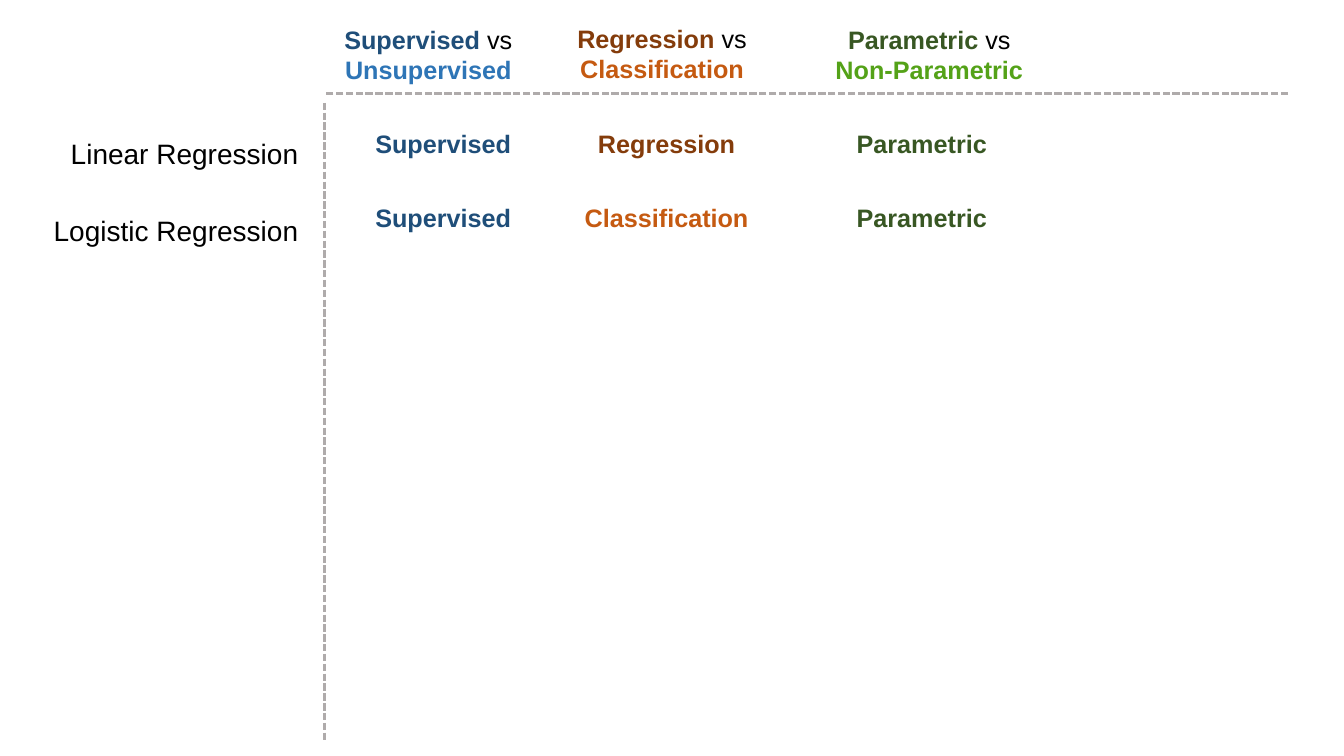
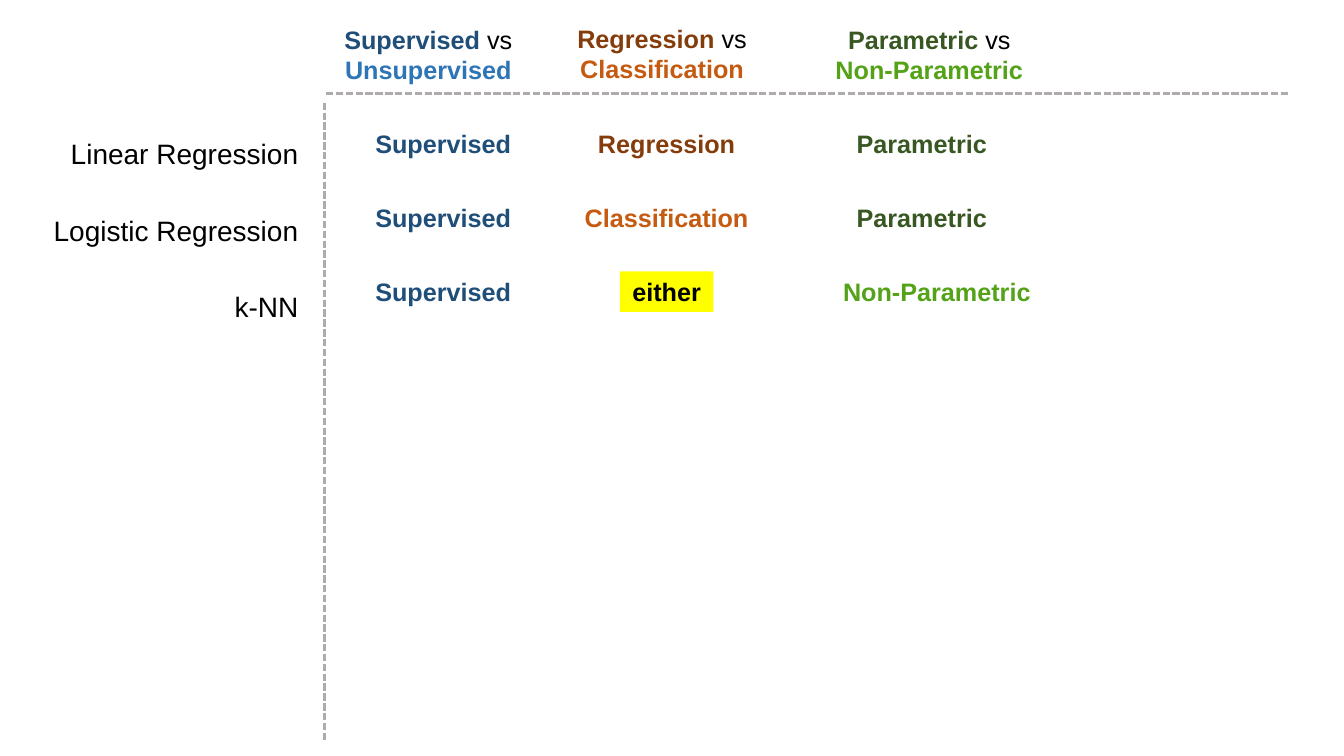
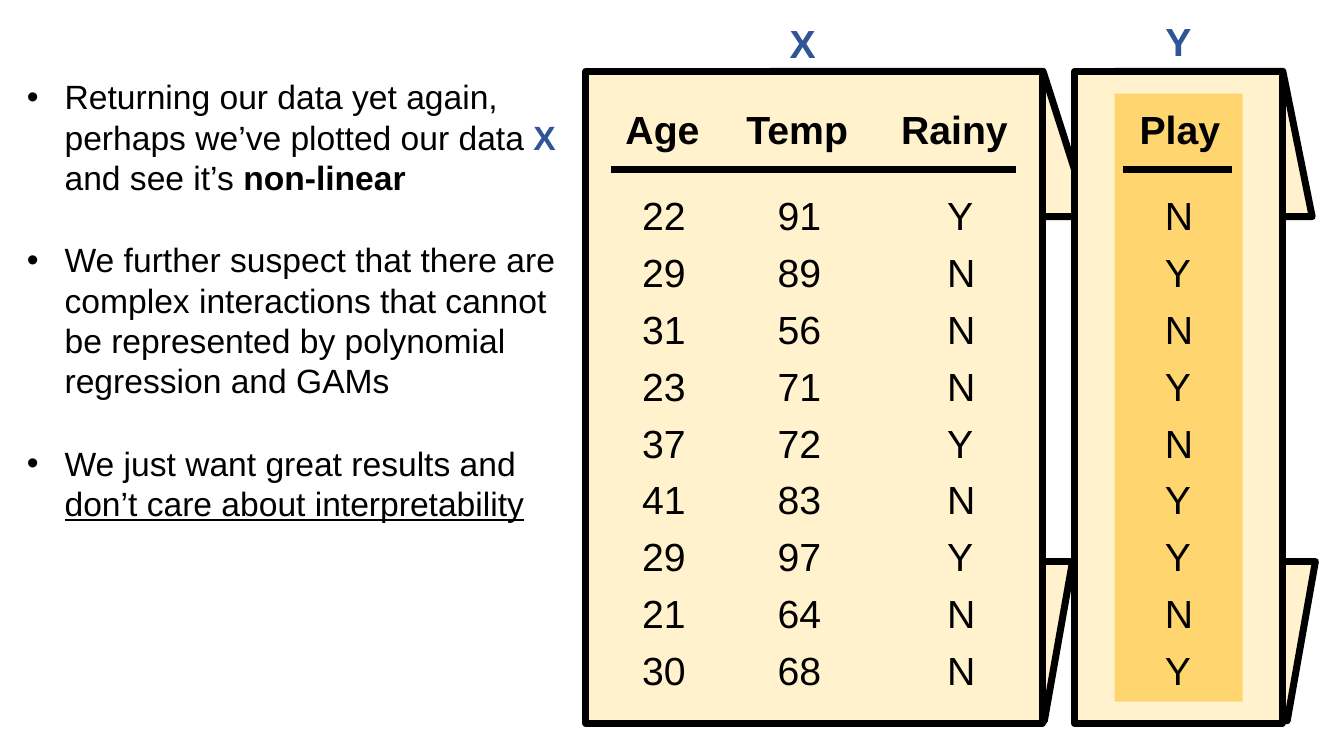
from dataclasses import dataclass

from lxml.etree import SubElement
from pptx import Presentation
from pptx.dml.color import RGBColor
from pptx.enum.dml import MSO_LINE
from pptx.enum.shapes import MSO_CONNECTOR, MSO_SHAPE
from pptx.enum.text import PP_ALIGN
from pptx.oxml.ns import qn
from pptx.shapes.autoshape import Shape
from pptx.shapes.connector import Connector
from pptx.slide import Slide
from pptx.text.text import Font
from pptx.util import Cm, Pt

FONT = "Arial"
COLORS = {
    "text": "000000",
    "background": "FFFFFF",
    "rule": "AFABAB",
    "supervised": "1F4E79",
    "unsupervised": "2E75B6",
    "regression": "843C0B",
    "classification": "C55A11",
    "parametric": "385723",
    "non_parametric": "54A218",
    "highlight": "FFFF00",
    "variable": "2F5597",
    "card": "FFF2CC",
    "target": "FFD570",
}


@dataclass(frozen=True)
class Box:
    left: float
    top: float
    width: float
    height: float


@dataclass(frozen=True)
class Span:
    text: str
    color: str = "text"
    bold: bool = False
    underline: bool = False


@dataclass(frozen=True)
class TextStyle:
    size: float
    align: PP_ALIGN = PP_ALIGN.CENTER
    gap: float = 0
    line_height: float | None = None
    bulleted: bool = False


@dataclass(frozen=True)
class Heading:
    box: Box
    first: Span
    second: Span


@dataclass(frozen=True)
class Term:
    span: Span
    width: float
    shift: float = 0
    fill: str | None = None


@dataclass(frozen=True)
class Method:
    name: str
    terms: tuple[Term, Term, Term]


@dataclass(frozen=True)
class Fold:
    box: Box
    slant: float
    flipped: bool = False


@dataclass(frozen=True)
class DataColumn:
    title: str
    title_box: Box
    left: float
    values: str


HEADINGS = (
    Heading(Box(8.18, 0.48, 5.23, 1.8),
            Span("Supervised ", "supervised", True), Span("Unsupervised", "unsupervised", True)),
    Heading(Box(13.79, 0.46, 5.79, 1.8),
            Span("Regression ", "regression", True), Span("Classification", "classification", True)),
    Heading(Box(19.94, 0.48, 6.96, 1.8),
            Span("Parametric ", "parametric", True), Span("Non-Parametric", "non_parametric", True)),
)
SUPERVISED = Term(Span("Supervised", "supervised", True), 4.02)
REGRESSION = Term(Span("Regression", "regression", True), 3.96)
CLASSIFICATION = Term(Span("Classification", "classification", True), 4.65)
EITHER = Term(Span("either", bold=True), 2.36, fill="highlight")
PARAMETRIC = Term(Span("Parametric", "parametric", True), 3.84)
NON_PARAMETRIC = Term(Span("Non-Parametric", "non_parametric", True), 5.36, shift=0.38)
METHODS = (
    Method("Linear Regression", (SUPERVISED, REGRESSION, PARAMETRIC)),
    Method("Logistic Regression", (SUPERVISED, CLASSIFICATION, PARAMETRIC)),
    Method("k-NN", (SUPERVISED, EITHER, NON_PARAMETRIC)),
)
TERM_CENTERS = (11.17, 16.8, 23.23)
TERM_TOP, TERM_PITCH, TERM_HEIGHT = 3.12, 1.86, 1.02

BULLETS = (
    (Span("Returning our data yet again, perhaps we’ve plotted our data "),
     Span("X ", "variable", True), Span("and see it’s "), Span("non-linear", bold=True)),
    (Span("We further suspect that there are complex interactions that cannot "
          "be represented by polynomial regression and GAMs"),),
    (Span("We just want great results and "),
     Span("don’t care about interpretability", underline=True)),
)
FOLDS = (
    Fold(Box(27.99, 14.15, 5.16, 4.01), 0.177),
    Fold(Box(28.09, 1.8, 4.98, 3.66), 0.202, True),
    Fold(Box(21.87, 14.15, 5.16, 4.01), 0.177),
    Fold(Box(19.41, 1.8, 8.05, 3.66), 0.32, True),
)
CARDS = (Box(27.08, 1.8, 5.23, 16.43), Box(14.76, 1.8, 11.51, 16.43))
VARIABLES = (("X", Box(18.92, 0.36, 2.62, 1.45)), ("Y", Box(28.58, 0.3, 2.24, 1.45)))
DATA_COLUMNS = (
    DataColumn("Age", Box(15.21, 2.54, 2.97, 1.45), 15.93, "22 29 31 23 37 41 29 21 30"),
    DataColumn("Temp", Box(18.31, 2.54, 3.56, 1.45), 19.35, "91 89 56 71 72 83 97 64 68"),
    DataColumn("Rainy", Box(22.25, 2.54, 3.61, 1.45), 23.62, "Y N N N Y N Y N N"),
    DataColumn("Play", Box(28.07, 2.54, 3.33, 1.45), 29.11, "N Y N Y N Y Y N Y"),
)
HEADER_RULES = ((15.39, 25.6), (28.3, 31.04))


def rgb(name: str) -> RGBColor:
    return RGBColor.from_string(COLORS[name])


def apply_span(font: Font, span: Span) -> None:
    font.color.rgb = rgb(span.color)
    font.bold = span.bold
    font.underline = span.underline


def add_text(slide: Slide, box: Box, lines: list[tuple[Span, ...]], style: TextStyle,
             wrap: bool = True) -> Shape:
    shape = slide.shapes.add_textbox(Cm(box.left), Cm(box.top), Cm(box.width), Cm(box.height))
    frame = shape.text_frame
    frame.word_wrap = wrap
    for index, spans in enumerate(lines):
        paragraph = frame.add_paragraph() if index else frame.paragraphs[0]
        paragraph.alignment = style.align
        if style.bulleted:
            properties = paragraph._p.get_or_add_pPr()
            properties.set("marL", str(Cm(0.95)))
            properties.set("indent", str(Cm(-0.95)))
            SubElement(properties, qn("a:buFont"), typeface=FONT)
            SubElement(properties, qn("a:buChar"), char="•")
        if index and style.gap:
            paragraph.space_before = Pt(style.gap)
        if style.line_height:
            paragraph.line_spacing = Pt(style.line_height)
        paragraph.font.name = FONT
        paragraph.font.size = Pt(style.size)
        apply_span(paragraph.font, spans[0])
        for span in spans:
            run = paragraph.add_run()
            run.text = span.text
            if span is not spans[0]:
                apply_span(run.font, span)
    return shape


def add_rule(slide: Slide, start: tuple[float, float], end: tuple[float, float],
             color: str, weight: float) -> Connector:
    rule = slide.shapes.add_connector(
        MSO_CONNECTOR.STRAIGHT, Cm(start[0]), Cm(start[1]), Cm(end[0]), Cm(end[1]))
    rule.line.color.rgb = rgb(color)
    rule.line.width = Pt(weight)
    SubElement(rule._element.spPr, qn("a:effectLst"))
    return rule


def add_panel(slide: Slide, kind: MSO_SHAPE, box: Box, fill: str, outlined: bool = True) -> Shape:
    shape = slide.shapes.add_shape(kind, Cm(box.left), Cm(box.top), Cm(box.width), Cm(box.height))
    shape.shadow.inherit = False
    shape.fill.solid()
    shape.fill.fore_color.rgb = rgb(fill)
    if outlined:
        shape.line.color.rgb = rgb("text")
        shape.line.width = Pt(5)
    else:
        shape.line.fill.background()
    return shape


def add_fold(slide: Slide, fold: Fold) -> None:
    shape = add_panel(slide, MSO_SHAPE.PARALLELOGRAM, fold.box, "card")
    shape.adjustments[0] = fold.slant
    if fold.flipped:
        shape._element.spPr.xfrm.set("flipH", "1")


def add_term(slide: Slide, term: Term, center: float, top: float) -> None:
    box = Box(center + term.shift - term.width / 2, top, term.width, TERM_HEIGHT)
    shape = add_text(slide, box, [(term.span,)], TextStyle(18), wrap=False)
    if term.fill:
        shape.fill.solid()
        shape.fill.fore_color.rgb = rgb(term.fill)


def build_comparison(slide: Slide, methods: tuple[Method, ...]) -> None:
    for start, end in (((8.18, 2.59), (8.18, 18.69)), ((32.46, 2.36), (8.18, 2.36))):
        add_rule(slide, start, end, "rule", 1.75).line.dash_style = MSO_LINE.SQUARE_DOT
    for heading in HEADINGS:
        add_text(slide, heading.box, [(heading.first, Span("vs")), (heading.second,)],
                 TextStyle(18))
    names = [(Span(method.name),) for method in methods]
    add_text(slide, Box(0.86, 2.21, 6.91, 1.94 * len(names)), names,
             TextStyle(20, PP_ALIGN.RIGHT, line_height=55))
    for row, method in enumerate(methods):
        for term, center in zip(method.terms, TERM_CENTERS):
            add_term(slide, term, center, TERM_TOP + row * TERM_PITCH)


def build_data(slide: Slide) -> None:
    add_text(slide, Box(0.43, 1.8, 14.2, 11.63), list(BULLETS),
             TextStyle(24, PP_ALIGN.LEFT, gap=30, bulleted=True))
    for fold in FOLDS:
        add_fold(slide, fold)
    for card in CARDS:
        add_panel(slide, MSO_SHAPE.RECTANGLE, card, "card")
    add_panel(slide, MSO_SHAPE.RECTANGLE, Box(28.09, 2.36, 3.23, 15.32), "target", outlined=False)
    for name, box in VARIABLES:
        add_text(slide, box, [(Span(name, "variable", True),)], TextStyle(28))
    for column in DATA_COLUMNS:
        add_text(slide, column.title_box, [(Span(column.title, bold=True),)], TextStyle(28))
        add_text(slide, Box(column.left, 4.7, 1.96, 13.03),
                 [(Span(value),) for value in column.values.split()],
                 TextStyle(28, PP_ALIGN.LEFT, gap=7))
    for left, right in HEADER_RULES:
        add_rule(slide, (left, 4.27), (right, 4.27), "text", 5)


def main() -> None:
    presentation = Presentation()
    presentation.slide_width = Cm(33.87)
    presentation.slide_height = Cm(19.05)
    blank = presentation.slide_layouts[6]
    background = presentation.slide_master.background.fill
    background.solid()
    background.fore_color.rgb = rgb("background")
    for count in (2, 3):
        build_comparison(presentation.slides.add_slide(blank), METHODS[:count])
    build_data(presentation.slides.add_slide(blank))
    presentation.save("out.pptx")


if __name__ == "__main__":
    main()
